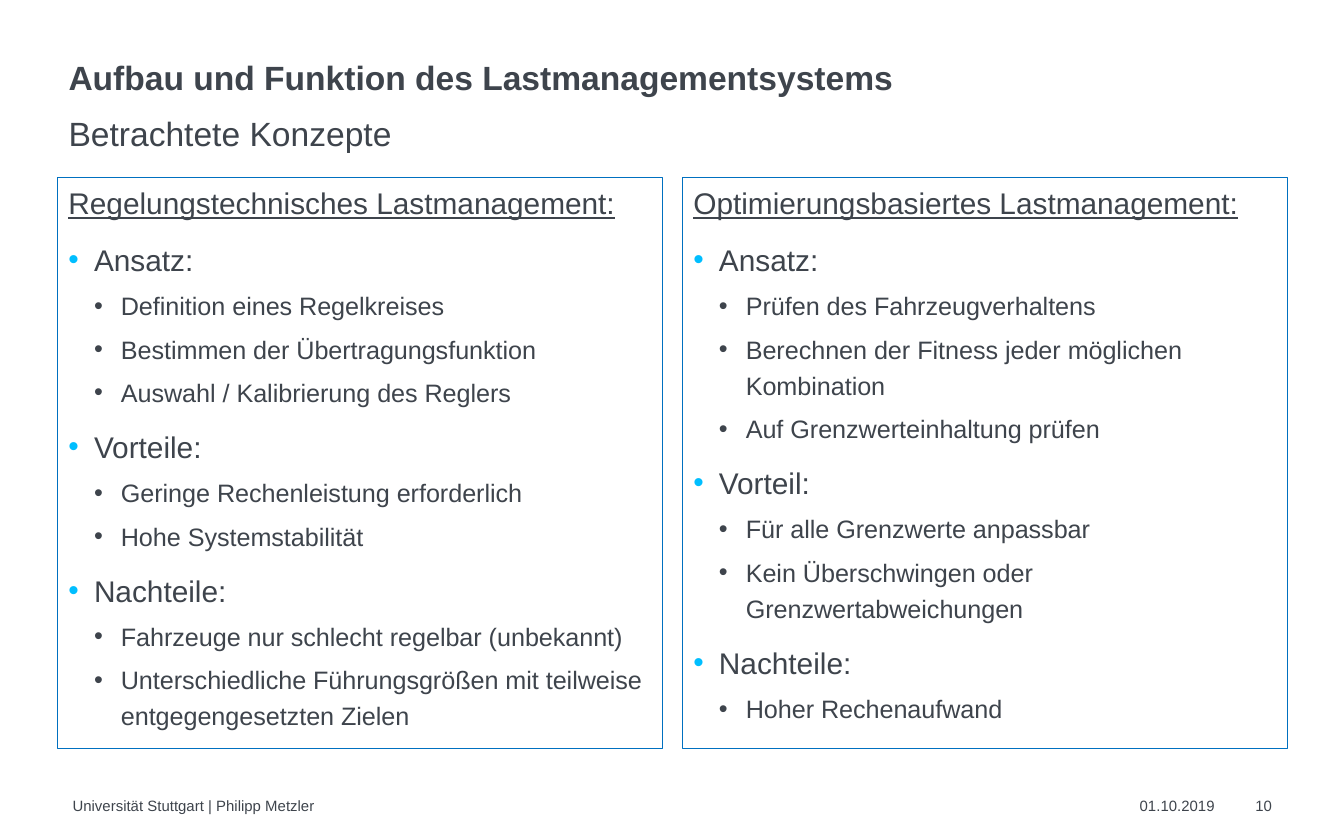
from lxml.etree import SubElement
from pptx import Presentation
from pptx.dml.color import RGBColor
from pptx.enum.shapes import MSO_SHAPE
from pptx.enum.text import MSO_ANCHOR, MSO_AUTO_SIZE, PP_ALIGN
from pptx.oxml.ns import qn
from pptx.util import Inches, Pt

COLORS = {"text": "3E444C", "bullet": "00BEFF", "frame": "0070C0"}
FONT = "Arial"
TITLE = "Aufbau und Funktion des Lastmanagementsystems"
SUBTITLE = "Betrachtete Konzepte"
CONCEPTS = [
    ("Regelungstechnisches Lastmanagement:", [
        ("Ansatz:", ["Definition eines Regelkreises",
                     "Bestimmen der Übertragungsfunktion",
                     "Auswahl / Kalibrierung des Reglers"]),
        ("Vorteile:", ["Geringe Rechenleistung erforderlich",
                       "Hohe Systemstabilität"]),
        ("Nachteile:", ["Fahrzeuge nur schlecht regelbar (unbekannt)",
                        "Unterschiedliche Führungsgrößen mit teilweise entgegengesetzten Zielen"]),
    ]),
    ("Optimierungsbasiertes Lastmanagement:", [
        ("Ansatz:", ["Prüfen des Fahrzeugverhaltens",
                     "Berechnen der Fitness jeder möglichen Kombination",
                     "Auf Grenzwerteinhaltung prüfen"]),
        ("Vorteil:", ["Für alle Grenzwerte anpassbar",
                      "Kein Überschwingen oder Grenzwertabweichungen"]),
        ("Nachteile:", ["Hoher Rechenaufwand"]),
    ]),
]
FOOTER = [
    ("Universität Stuttgart | Philipp Metzler", 0.54, 6.6),
    ("01.10.2019", 8.48, 0.58),
    ("10", 9.34, 0.24),
]
LEFT, WIDTH = 0.51, 8.98
FRAME_LEFT, FRAME_TOP, FRAME_WIDTH, FRAME_HEIGHT = 0.43, 1.32, 4.5, 4.25
FRAME_STEP, FRAME_INSET = 4.65, 0.08
TOPIC = {"size": 16, "line": 1.2, "before": 7.5, "indent": 0.19, "hang": 0.19,
         "bullet": "bullet"}
DETAIL = {"size": 13.5, "line": 1.2, "before": 3.8, "indent": 0.39, "hang": 0.2,
          "bullet": "text", "level": 1}


def write(frame, text, size=16, bold=False, underline=False, line=1.0, before=0,
          level=0, indent=0, hang=0, bullet=None):
    """Write text into the first empty paragraph or a new one."""
    para = frame.paragraphs[0]
    if para.runs:
        para = frame.add_paragraph()
    para.alignment, para.level = PP_ALIGN.LEFT, level
    para.line_spacing, para.space_before = line, Pt(before)
    span = para.add_run()
    span.text = text
    font = span.font
    font.name, font.size, font.bold, font.underline = FONT, Pt(size), bold, underline
    font.color.rgb = RGBColor.from_string(COLORS["text"])
    if bullet:
        properties = para._p.get_or_add_pPr()
        properties.set("marL", str(Inches(indent)))
        properties.set("indent", str(-Inches(hang)))
        color = SubElement(properties, qn("a:buClr"))
        SubElement(color, qn("a:srgbClr"), val=COLORS[bullet])
        SubElement(properties, qn("a:buFont"), typeface=FONT)
        SubElement(properties, qn("a:buChar"), char="•")


def set_up(box, anchor=MSO_ANCHOR.TOP):
    """Give a box wrapped text without margins and return its text frame."""
    frame = box.text_frame
    frame.word_wrap, frame.auto_size = True, MSO_AUTO_SIZE.NONE
    frame.vertical_anchor = anchor
    frame.margin_left = frame.margin_right = frame.margin_top = frame.margin_bottom = 0
    return frame


def add_text_frame(page, *place):
    """Add a text box at a place in inches."""
    return set_up(page.shapes.add_textbox(*map(Inches, place)))


def add_concept(page, left, heading, topics):
    """Add one framed column of topics with their details."""
    border = page.shapes.add_shape(
        MSO_SHAPE.RECTANGLE,
        *map(Inches, (left, FRAME_TOP, FRAME_WIDTH, FRAME_HEIGHT)))
    border.shadow.inherit = False
    border.fill.background()
    border.line.color.rgb = RGBColor.from_string(COLORS["frame"])
    border.line.width = Pt(0.5)
    frame = add_text_frame(page, left + FRAME_INSET, FRAME_TOP,
                           FRAME_WIDTH - 2 * FRAME_INSET, FRAME_HEIGHT)
    write(frame, heading, underline=True, line=1.2, before=7.5)
    for topic, details in topics:
        write(frame, topic, **TOPIC)
        for detail in details:
            write(frame, detail, **DETAIL)


def main():
    """Build the slide and save it."""
    deck = Presentation()
    deck.slide_width, deck.slide_height = Inches(10), Inches(6.25)
    page = deck.slides.add_slide(deck.slide_layouts[5])
    title = page.shapes.title
    title.left, title.top = Inches(LEFT), Inches(0.43)
    title.width, title.height = Inches(WIDTH), Inches(0.3)
    write(set_up(title, MSO_ANCHOR.BOTTOM), TITLE, size=18, bold=True, line=0.9)
    write(add_text_frame(page, LEFT, 0.78, WIDTH, 0.3), SUBTITLE,
          size=18, line=1.2, before=7.5)
    for index, (heading, topics) in enumerate(CONCEPTS):
        add_concept(page, FRAME_LEFT + index * FRAME_STEP, heading, topics)
    for text, left, width in FOOTER:
        write(add_text_frame(page, left, 5.93, width, 0.14), text, size=8)
    deck.save("out.pptx")


if __name__ == "__main__":
    main()
